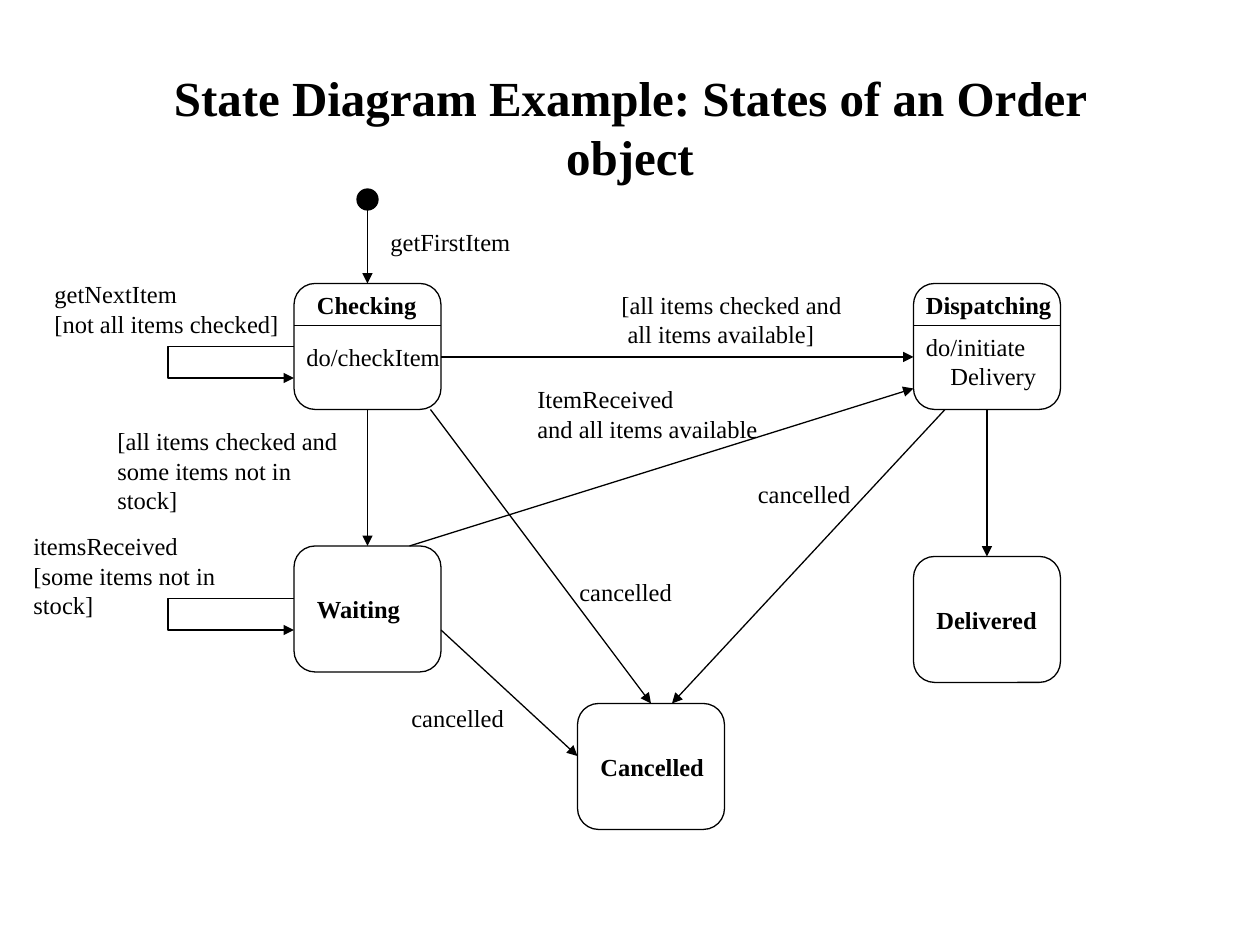
from lxml.etree import SubElement
from pptx import Presentation
from pptx.dml.color import RGBColor
from pptx.enum.shapes import MSO_CONNECTOR, MSO_SHAPE
from pptx.enum.text import MSO_ANCHOR, MSO_AUTO_SIZE, PP_ALIGN
from pptx.oxml.ns import qn
from pptx.util import Inches, Pt

FONT = "Times New Roman"
INK = "000000"
COLUMNS, ROWS = 120, 90
STATE_WIDTH, STATE_HEIGHT = 14, 12
DIVIDER = 4


def color(value):
    return RGBColor.from_string(value)


def grid(units):
    return Inches(units / 12)


def add_text(slide, left, top, width, height, lines, size=14, bold=False, wrap=True, indent=0):
    box = slide.shapes.add_textbox(grid(left), grid(top), grid(width), grid(height))
    frame = box.text_frame
    frame.text = "\n".join(lines)
    frame.word_wrap = wrap
    for paragraph in frame.paragraphs:
        for run in paragraph.runs:
            run.font.name = FONT
            run.font.size = Pt(size)
            run.font.bold = bold
            run.font.color.rgb = color(INK)
    if indent:
        frame.paragraphs[-1]._p.get_or_add_pPr().set("marL", str(Pt(indent)))
    return box


def style_line(shape, arrow=False):
    shape.line.color.rgb = color(INK)
    shape.line.width = Pt(0.75)
    if arrow:
        SubElement(shape.line._get_or_add_ln(), qn("a:tailEnd"), type="triangle")


def add_line(slide, start, end, arrow=True):
    points = [grid(value) for value in (*start, *end)]
    connector = slide.shapes.add_connector(MSO_CONNECTOR.STRAIGHT, *points)
    style_line(connector, arrow)
    SubElement(connector._element.spPr, qn("a:effectLst"))


def add_title(slide, left, top, width, height):
    box = add_text(slide, left, top, width, height,
                   ["State Diagram Example: States of an Order object"], 28, True)
    box.text_frame.auto_size = MSO_AUTO_SIZE.NONE
    box.text_frame.vertical_anchor = MSO_ANCHOR.MIDDLE
    box.text_frame.paragraphs[0].alignment = PP_ALIGN.CENTER


def add_state(slide, left, top, name, name_offset=(1, 4), name_width=13.2):
    state = slide.shapes.add_shape(MSO_SHAPE.ROUNDED_RECTANGLE, grid(left), grid(top),
                                   grid(STATE_WIDTH), grid(STATE_HEIGHT))
    state.adjustments[0] = 0.167
    state.shadow.inherit = False
    state.fill.background()
    style_line(state)
    add_text(slide, left + name_offset[0], top + name_offset[1], name_width, 4, [name], bold=True)


def add_active_state(slide, left, top, name, name_offset, name_width,
                     activity, activity_top, activity_width, indent=0):
    add_state(slide, left, top, name, name_offset, name_width)
    add_line(slide, (left, top + DIVIDER), (left + STATE_WIDTH, top + DIVIDER), arrow=False)
    add_text(slide, left, top + activity_top, activity_width, 4 if len(activity) == 1 else 6.8,
             activity, indent=indent)


def add_start(slide, left, top, size):
    start = slide.shapes.add_shape(MSO_SHAPE.OVAL, grid(left), grid(top), grid(size), grid(size))
    start.shadow.inherit = False
    start.fill.solid()
    start.fill.fore_color.rgb = color(INK)
    style_line(start)


def add_self_loop(slide, left, top, width, height):
    right, bottom = left + width, top + height
    builder = slide.shapes.build_freeform(right, top, scale=grid(1))
    builder.add_line_segments([(left, top), (left, bottom), (right, bottom)], close=False)
    loop = builder.convert_to_shape()
    loop.shadow.inherit = False
    loop.fill.background()
    style_line(loop, arrow=True)


def add_states(slide):
    add_start(slide, 34, 18, 2)
    add_active_state(slide, 28, 27, "Checking", (1, 0), 13.2, ["do/checkItem"], 5, 15.1)
    add_active_state(slide, 87, 27, "Dispatching", (0, 0), 16,
                     ["do/initiate", "Delivery"], 4, 22, indent=14)
    for left, top, name in [(28, 52, "Waiting"), (55, 67, "Cancelled"), (87, 53, "Delivered")]:
        add_state(slide, left, top, name)


def add_transitions(slide):
    for start, end in [
        ((35, 20), (35, 27)),
        ((42, 34), (87, 34)),
        ((41, 39), (62, 67)),
        ((90, 39), (64, 67)),
        ((94, 39), (94, 53)),
        ((42, 60), (55, 72)),
        ((39, 52), (87, 37)),
        ((35, 39), (35, 52)),
    ]:
        add_line(slide, start, end)
    for top in (33, 57):
        add_self_loop(slide, 16, top, 12, 3)


def add_labels(slide):
    for left, top, width, lines in [
        (36, 21, 13.8, ["getFirstItem"]),
        (4, 26, 23.8, ["getNextItem", "[not all items checked]"]),
        (2, 50, 26, ["itemsReceived", "[some items not in stock]"]),
        (10, 40, 25.2, ["[all items checked and", "some items not in stock]"]),
        (38, 66.4, 11.3, ["cancelled"]),
        (54, 54.4, 11.3, ["cancelled"]),
        (71, 45, 11.3, ["cancelled"]),
    ]:
        add_text(slide, left, top, width, 4 if len(lines) == 1 else 6.8, lines, wrap=False)
    add_text(slide, 50, 36, 30, 6.8, ["ItemReceived", "and all items available"])
    add_text(slide, 58, 27, 23.4, 6.8, ["[all items checked and", "all items available]"],
             wrap=False, indent=3.5)


def main():
    presentation = Presentation()
    presentation.slide_width = grid(COLUMNS)
    presentation.slide_height = grid(ROWS)
    slide = presentation.slides.add_slide(presentation.slide_layouts[6])
    add_title(slide, 9, 8, 102, 8)
    add_states(slide)
    add_transitions(slide)
    add_labels(slide)
    presentation.save("out.pptx")


if __name__ == "__main__":
    main()
